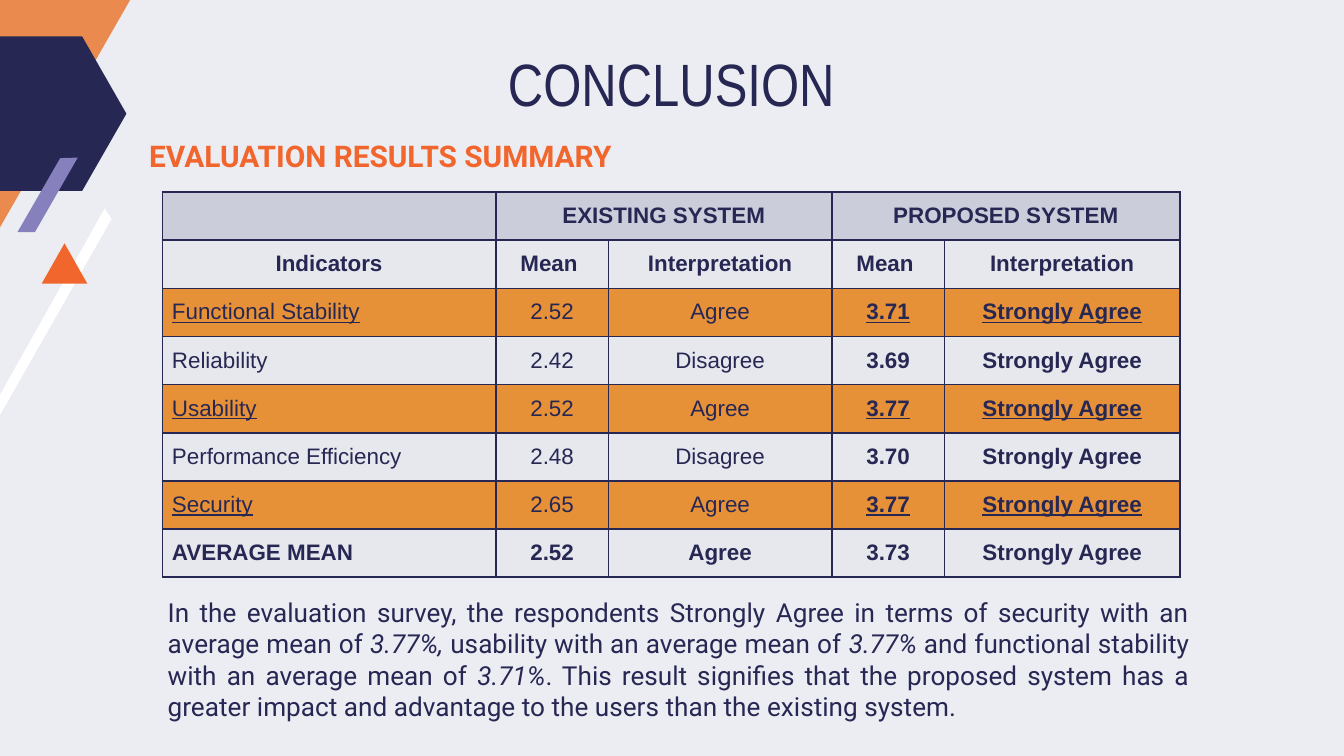
"""Build the conclusion slide with the evaluation results summary."""

from lxml.etree import SubElement
from pptx import Presentation
from pptx.dml.color import RGBColor
from pptx.enum.shapes import MSO_SHAPE
from pptx.enum.text import MSO_ANCHOR, MSO_AUTO_SIZE, PP_ALIGN
from pptx.oxml.ns import qn
from pptx.util import Cm, Pt

BACKGROUND = RGBColor(0xEC, 0xED, 0xF3)
NAVY = RGBColor(0x27, 0x27, 0x53)
ORANGE = RGBColor(0xF1, 0x66, 0x2D)
LIGHT_ORANGE = RGBColor(0xEA, 0x8A, 0x4F)
PURPLE = RGBColor(0x86, 0x80, 0xBC)
WHITE = RGBColor(0xFF, 0xFF, 0xFF)
HEADER_FILL = RGBColor(0xCB, 0xCD, 0xDB)
ROW_FILL = RGBColor(0xE7, 0xE8, 0xEE)
HIGHLIGHT_FILL = RGBColor(0xE6, 0x91, 0x38)

BACK_POLYGONS = [
    (LIGHT_ORANGE, [(0, 0), (2.46, 0), (0, 4.3)]),
    (WHITE, [(-0.3, 8), (1.98, 3.94), (2.11, 4.14), (-0.2, 8.2)]),
    (ORANGE, [(0.79, 5.36), (1.65, 5.36), (1.22, 4.6)]),
]
FRONT_POLYGONS = [
    (PURPLE, [(1.14, 2.99), (0.33, 4.39), (0.66, 4.39), (1.47, 2.98)]),
]

TITLE = "CONCLUSION"
HEADING = "EVALUATION RESULTS SUMMARY"
COLUMN_WIDTHS = [6.3, 2.13, 4.22, 2.13, 4.45]
ROW_HEIGHT = 0.91
TABLE_ROWS = [
    ("", "EXISTING SYSTEM", "", "PROPOSED SYSTEM", ""),
    ("Indicators", "Mean ", "Interpretation", "Mean ", "Interpretation"),
    ("Functional Stability", "2.52", "Agree", "3.71", "Strongly Agree"),
    ("Reliability", "2.42", "Disagree", "3.69", "Strongly Agree"),
    ("Usability", "2.52", "Agree", "3.77", "Strongly Agree"),
    ("Performance Efficiency", "2.48", "Disagree", "3.70", "Strongly Agree"),
    ("Security", "2.65", "Agree", "3.77", "Strongly Agree"),
    ("AVERAGE MEAN", "2.52", "Agree", "3.73", "Strongly Agree"),
]
HIGHLIGHTED = {"Functional Stability", "Usability", "Security"}
CONCLUSION_RUNS = [
    ("In the evaluation survey, the respondents Strongly Agree in terms of "
     "security with an average mean of ", False),
    ("3.77%,", True),
    (" usability with an average mean of ", False),
    ("3.77%", True),
    (" and functional stability with an average mean of ", False),
    ("3.71%", True),
    (". This result signifies that the proposed system has a greater impact "
     "and advantage to the users than the existing system.", False),
]


def paint(shape, color):
    shape.shadow.inherit = False
    shape.fill.solid()
    shape.fill.fore_color.rgb = color
    shape.line.fill.background()


def add_polygons(slide, polygons):
    for color, corners in polygons:
        points = [(Cm(x), Cm(y)) for x, y in corners]
        builder = slide.shapes.build_freeform(*points[0])
        builder.add_line_segments(points[1:], close=True)
        paint(builder.convert_to_shape(), color)


def add_hexagon(slide):
    hexagon = slide.shapes.add_shape(
        MSO_SHAPE.HEXAGON, Cm(-0.91), Cm(0.69), Cm(3.3), Cm(2.92))
    hexagon.adjustments[0] = 0.286
    paint(hexagon, NAVY)


def add_run(paragraph, text, font_name, size, color=NAVY,
            bold=False, italic=False, underline=False):
    run = paragraph.add_run()
    run.text = text
    font = run.font
    font.name, font.size = font_name, Pt(size)
    font.color.rgb = color
    font.bold, font.italic, font.underline = bold, italic, underline


def add_text_box(slide, left, top, width, height, alignment, anchor=MSO_ANCHOR.TOP):
    frame = slide.shapes.add_textbox(Cm(left), Cm(top), Cm(width), Cm(height)).text_frame
    frame.word_wrap = True
    frame.vertical_anchor = anchor
    frame.margin_left = frame.margin_right = Cm(0.25)
    frame.margin_top = frame.margin_bottom = Cm(0.25)
    paragraph = frame.paragraphs[0]
    paragraph.alignment = alignment
    return frame, paragraph


def add_borders(cell):
    properties = cell._tc.get_or_add_tcPr()
    for side in ("lnL", "lnR", "lnT", "lnB"):
        line = SubElement(properties, qn(f"a:{side}"), w=str(Pt(1)))
        fill = SubElement(line, qn("a:solidFill"))
        SubElement(fill, qn("a:srgbClr"), val=str(NAVY))


def fill_cell(cell, text, row, column):
    label = TABLE_ROWS[row][0]
    highlighted = label in HIGHLIGHTED
    header = row < 2
    add_borders(cell)
    cell.fill.solid()
    cell.fill.fore_color.rgb = (
        HEADER_FILL if row == 0 else HIGHLIGHT_FILL if highlighted else ROW_FILL)
    cell.margin_left = cell.margin_right = Cm(0.18)
    cell.margin_top = cell.margin_bottom = Cm(0.18)
    paragraph = cell.text_frame.paragraphs[0]
    paragraph.line_spacing = 1.07
    paragraph.alignment = PP_ALIGN.CENTER if header or column else PP_ALIGN.LEFT
    if text:
        add_run(paragraph, text, "Arial", 12,
                bold=header or column > 2 or row == len(TABLE_ROWS) - 1,
                underline=highlighted and column in (0, 3, 4))
    else:
        SubElement(paragraph._p, qn("a:endParaRPr"), sz="1200")


def add_results_table(slide):
    table = slide.shapes.add_table(
        len(TABLE_ROWS), len(COLUMN_WIDTHS), Cm(3.07), Cm(3.63),
        Cm(sum(COLUMN_WIDTHS)), Cm(ROW_HEIGHT * len(TABLE_ROWS))).table
    table.first_row = table.horz_banding = False
    for column, width in zip(table.columns, COLUMN_WIDTHS):
        column.width = Cm(width)
    for row_index, texts in enumerate(TABLE_ROWS):
        table.rows[row_index].height = Cm(ROW_HEIGHT)
        for column_index, text in enumerate(texts):
            fill_cell(table.cell(row_index, column_index), text, row_index, column_index)
    for start in (1, 3):
        table.cell(0, start).merge(table.cell(0, start + 1))


def add_conclusion(slide):
    frame, paragraph = add_text_box(slide, 1.65, 11.02, 21.08, 2.9, PP_ALIGN.JUSTIFY)
    frame.auto_size = MSO_AUTO_SIZE.SHAPE_TO_FIT_TEXT
    properties = paragraph._p.get_or_add_pPr()
    properties.set("marL", str(Cm(1.27)))
    properties.set("indent", "0")
    for text, italic in CONCLUSION_RUNS:
        add_run(paragraph, text, "Roboto", 14, italic=italic)


def main():
    presentation = Presentation()
    presentation.slide_width, presentation.slide_height = Cm(25.4), Cm(14.29)
    slide = presentation.slides.add_slide(presentation.slide_layouts[6])
    slide.background.fill.solid()
    slide.background.fill.fore_color.rgb = BACKGROUND
    add_polygons(slide, BACK_POLYGONS)
    add_hexagon(slide)
    add_polygons(slide, FRONT_POLYGONS)
    _, title = add_text_box(slide, 3.23, 0.64, 18.92, 1.6, PP_ALIGN.CENTER)
    add_run(title, TITLE, "Arial Narrow", 32)
    _, heading = add_text_box(
        slide, 2.57, 2.44, 18.14, 1.09, PP_ALIGN.LEFT, MSO_ANCHOR.BOTTOM)
    add_run(heading, HEADING, "Roboto", 16, ORANGE, bold=True)
    add_results_table(slide)
    add_conclusion(slide)
    presentation.save("out.pptx")


if __name__ == "__main__":
    main()
